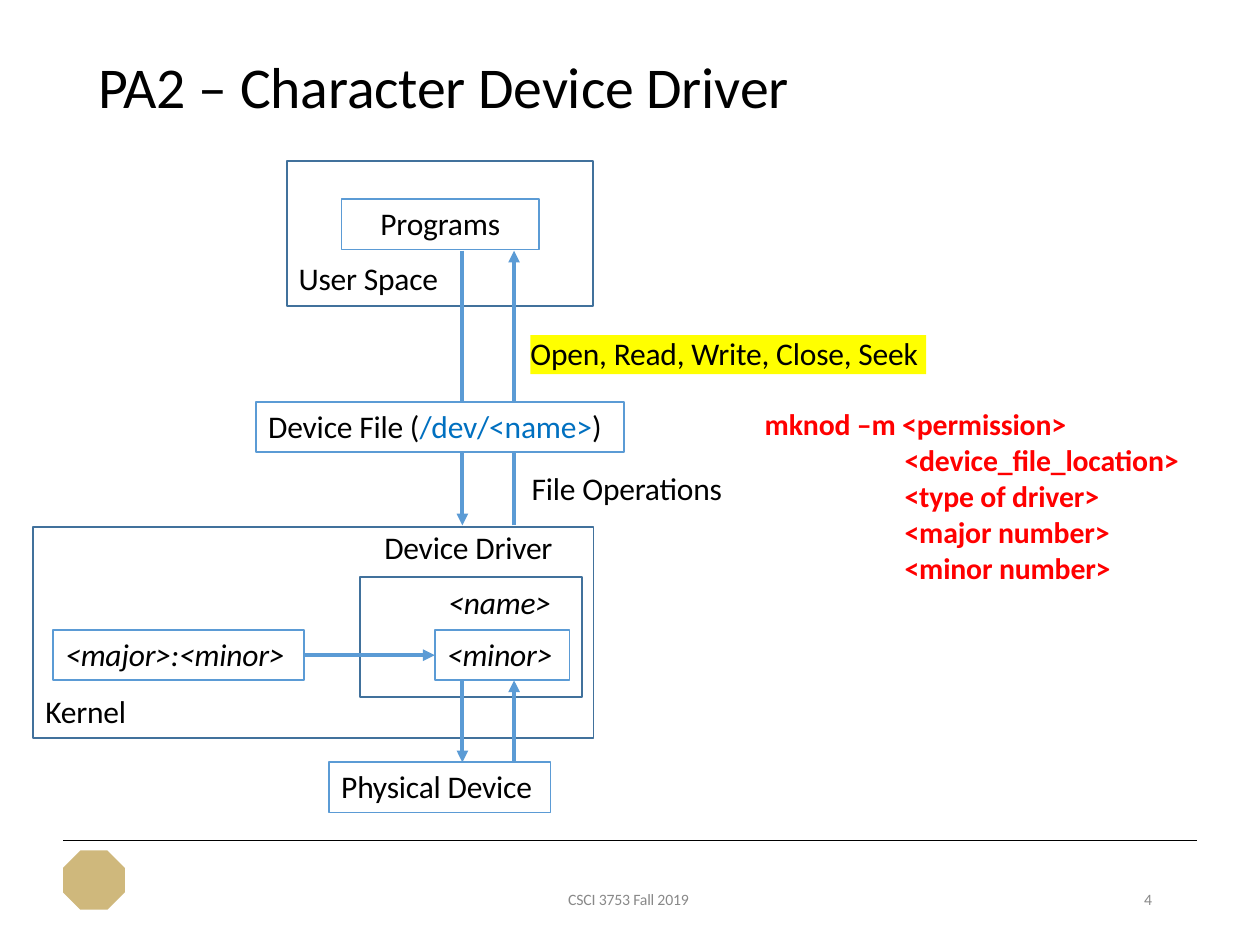
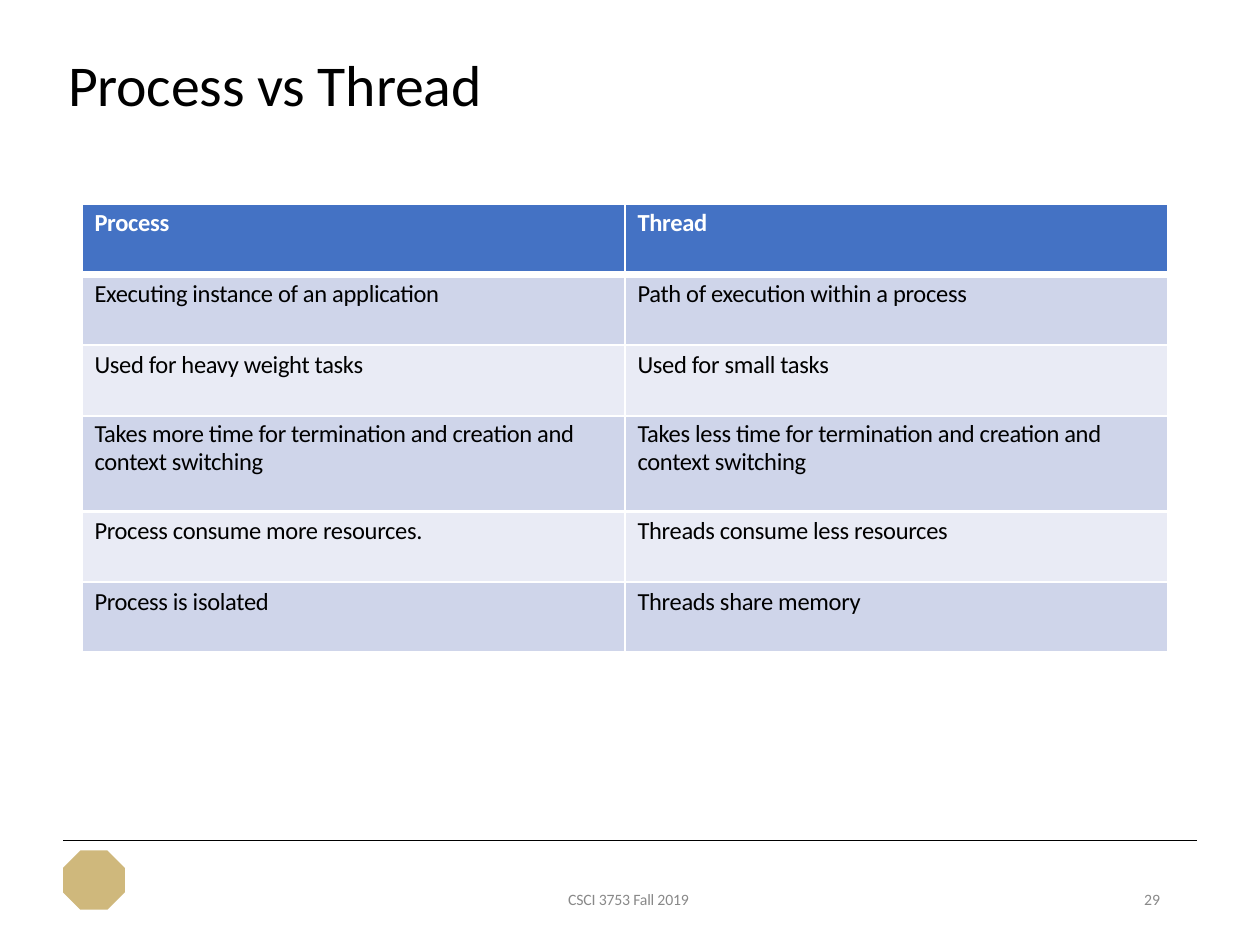
"""Builds two lecture slides: a device driver diagram and a process table."""
from lxml import etree
from pptx import Presentation
from pptx import util as u
from pptx.dml.color import RGBColor
from pptx.enum import shapes, text
from pptx.oxml import ns

FONT = "Calibri"
BLACK, WHITE, GREY, GOLD = "000000", "FFFFFF", "898989", "CFB87C"
EDGE, FRAME, LINK = "5B9BD5", "41719C", "0070C0"
RED, YELLOW = "FF0000", "FFFF00"
HEAD, BANDS = "4472C4", ("CFD5EA", "E9EBF5")
ROWS = [
    ("Process", "Thread"),
    ("Executing instance of an application", "Path of execution within a process"),
    ("Used for heavy weight tasks", "Used for small tasks"),
    ("Takes more time for termination and creation and context switching",
     "Takes less time for termination and creation and context switching"),
    ("Process consume more resources.", "Threads consume less resources"),
    ("Process is isolated", "Threads share memory"),
]


def rgb(code):
    """Turn a hex string into a colour."""
    return RGBColor.from_string(code)


def style(run, size, hue=BLACK, bold=False, slant=False, track=-0.1):
    """Format one run of text."""
    font = run.font
    font.name, font.size, font.bold, font.italic = FONT, u.Pt(size), bold, slant
    font.color.rgb = rgb(hue)
    run._r.get_or_add_rPr().set("spc", str(round(track * 100)))


def write(shape, words, size=18, pad=(0.01, 0.01), **look):
    """Fill a shape with left-aligned text and return its frame."""
    frame = shape.text_frame
    frame.text = words
    frame.word_wrap = True
    frame.auto_size = text.MSO_AUTO_SIZE.NONE
    frame.vertical_anchor = text.MSO_ANCHOR.TOP
    frame.margin_left, frame.margin_top = map(u.Inches, pad)
    frame.margin_right = frame.margin_bottom = 0
    for para in frame.paragraphs:
        para.alignment = text.PP_ALIGN.LEFT
        for run in para.runs:
            style(run, size, **look)
    return frame


def label(slide, x, y, w, h, words, **look):
    """Add plain text."""
    area = slide.shapes.add_textbox(*map(u.Inches, (x, y, w, h)))
    return write(area, words, **look)


def block(slide, x, y, w, h, words="", line=EDGE, fill=None,
          kind=shapes.MSO_SHAPE.RECTANGLE, pad=(0.1, 0.04), **look):
    """Add a box with optional outline, fill and text."""
    box = slide.shapes.add_shape(kind, *map(u.Inches, (x, y, w, h)))
    box.shadow.inherit = False
    if fill:
        box.fill.solid()
        box.fill.fore_color.rgb = rgb(fill)
    else:
        box.fill.background()
    if line:
        box.line.color.rgb = rgb(line)
        box.line.width = u.Pt(1)
    else:
        box.line.fill.background()
    return write(box, words, pad=pad, **look)


def wire(slide, x1, y1, x2, y2, hue=EDGE, width=2.25, tip=True):
    """Draw a straight line, with an arrowhead at its end if wanted."""
    line = slide.shapes.add_connector(
        shapes.MSO_CONNECTOR.STRAIGHT, *map(u.Inches, (x1, y1, x2, y2)))
    line.line.color.rgb = rgb(hue)
    line.line.width = u.Pt(width)
    if tip:
        etree.SubElement(line.line._get_or_add_ln(), ns.qn("a:tailEnd"), type="triangle")
    etree.SubElement(line._element.spPr, ns.qn("a:effectLst"))


def pair(slide, top, end):
    """Draw a downward and an upward arrow side by side."""
    wire(slide, 3.67, top, 3.67, end)
    wire(slide, 4.08, end, 4.08, top)


def base(deck, name, x, y, page):
    """Add a slide with its title, rule, emblem and footer."""
    slide = deck.slides.add_slide(deck.slide_layouts[5])
    title = slide.shapes.title
    title.left, title.top, title.width, title.height = map(u.Inches, (x, y, 6.5, 0.58))
    write(title, name, size=33)
    wire(slide, 0.5, 6.67, 9.5, 6.67, hue=BLACK, width=1, tip=False)
    block(slide, 0.5, 6.75, 0.49, 0.47, line=None, fill=GOLD, kind=shapes.MSO_SHAPE.OCTAGON)
    label(slide, 4.5, 7.05, 1.1, 0.18, "CSCI 3753 Fall 2019", size=9, hue=GREY)
    label(slide, 9.04, 7.05, 0.21, 0.18, page, size=9, hue=GREY, pad=(0.04, 0.01), track=0)
    return slide


def user(slide, x, y):
    """Draw the user space frame."""
    block(slide, x, y, 2.43, 1.15, line=FRAME)
    block(slide, x + 0.43, y + 0.3, 1.57, 0.4, "Programs", pad=(0.31, 0.04))
    label(slide, x + 0.08, y + 0.77, 1.2, 0.33, "User Space")


def kernel(slide, x, y):
    """Draw the kernel frame with the driver inside it."""
    block(slide, x, y, 4.45, 1.68, line=FRAME)
    label(slide, x + 0.09, y + 1.3, 0.8, 0.33, "Kernel")
    label(slide, x + 2.78, y, 1.5, 0.33, "Device Driver")
    block(slide, x + 2.6, y + 0.4, 1.76, 0.95, "<name>", line=FRAME,
          pad=(0.7, 0.05), slant=True)
    block(slide, x + 0.16, y + 0.82, 1.99, 0.4, "<major>:<minor>", slant=True)
    block(slide, x + 3.19, y + 0.82, 1.07, 0.4, "<minor>", slant=True)
    wire(slide, x + 2.15, y + 1.02, x + 3.19, y + 1.02)


def access(slide, x, y):
    """Draw the device file and the operations on it."""
    frame = block(slide, x, y, 2.92, 0.4, "Device File (", fill=WHITE)
    for words, hue in (("/dev/<name>", LINK), (")", BLACK)):
        run = frame.paragraphs[0].add_run()
        run.text = words
        style(run, 18, hue)
    calls = block(slide, x + 2.18, y - 0.53, 3.14, 0.31, "Open, Read, Write, Close, Seek",
                  line=None, fill=YELLOW, pad=(0, 0))
    calls.paragraphs[0].line_spacing = u.Pt(20.7)
    label(slide, x + 2.18, y + 0.52, 1.7, 0.33, "File Operations")


def command(slide, x, y):
    """Write the node command with its arguments indented."""
    words = ("mknod –m <permission>\n<device_file_location>\n<type of driver>\n"
             "<major number>\n<minor number>")
    frame = label(slide, x, y, 3.4, 1.45, words, size=17, hue=RED, bold=True)
    for place, para in enumerate(frame.paragraphs):
        para.line_spacing = u.Pt(20.5)
        if place:
            para._p.get_or_add_pPr().set("marL", str(u.Inches(1.11)))


def border(cell, top, bottom):
    """Give a cell white edges of the given widths."""
    props = cell._tc.get_or_add_tcPr()
    for side, width in zip("LRTB", (1.5, 1.5, top, bottom)):
        line = etree.SubElement(props, ns.qn("a:ln" + side), w=str(u.Pt(width)))
        fill = etree.SubElement(line, ns.qn("a:solidFill"))
        etree.SubElement(fill, ns.qn("a:srgbClr"), val=WHITE)


def grid(slide, x, y, w):
    """Add the banded comparison table."""
    area = map(u.Inches, (x, y, w, 3.56))
    table = slide.shapes.add_table(len(ROWS), 2, *area).table
    for col in table.columns:
        col.width = u.Inches(w / 2)
    for r, row in enumerate(ROWS):
        tall = r == 3
        table.rows[r].height = u.Inches(0.76 if tall else 0.56)
        for c, words in enumerate(row):
            cell = table.cell(r, c)
            border(cell, 4.25 if r == 1 else 1.5, 1.5 if r else 4.25)
            cell.fill.solid()
            cell.fill.fore_color.rgb = rgb(BANDS[(r - 1) % 2] if r else HEAD)
            cell.margin_left, cell.margin_right = u.Inches(0.1), u.Inches(0.2)
            cell.margin_top, cell.margin_bottom = u.Inches(0.04 if r else 0.03), 0
            para = cell.text_frame.paragraphs[0]
            para.text = words
            if tall:
                para.line_spacing = u.Pt(16.1)
            style(para.runs[0], 14, BLACK if r else WHITE, bold=not r, track=-0.2)


def driver(deck):
    """Build the device driver slide."""
    slide = base(deck, "PA2 – Character Device Driver", 0.77, 0.39, "4")
    user(slide, 2.28, 1.28)
    kernel(slide, 0.26, 4.18)
    block(slide, 2.61, 6.05, 1.76, 0.4, "Physical Device")
    pair(slide, 1.99, 4.17)
    pair(slide, 5.4, 6.05)
    access(slide, 2.03, 3.19)
    command(slide, 6.06, 3.21)


def compare(deck):
    """Build the process and thread slide."""
    slide = base(deck, "Process vs Thread", 0.53, 0.38, "29")
    grid(slide, 0.65, 1.62, 8.62)


def main():
    """Build and save the deck."""
    deck = Presentation()
    deck.slide_width, deck.slide_height = u.Inches(10), u.Inches(7.5)
    driver(deck)
    compare(deck)
    deck.save("out.pptx")


if __name__ == "__main__":
    main()
